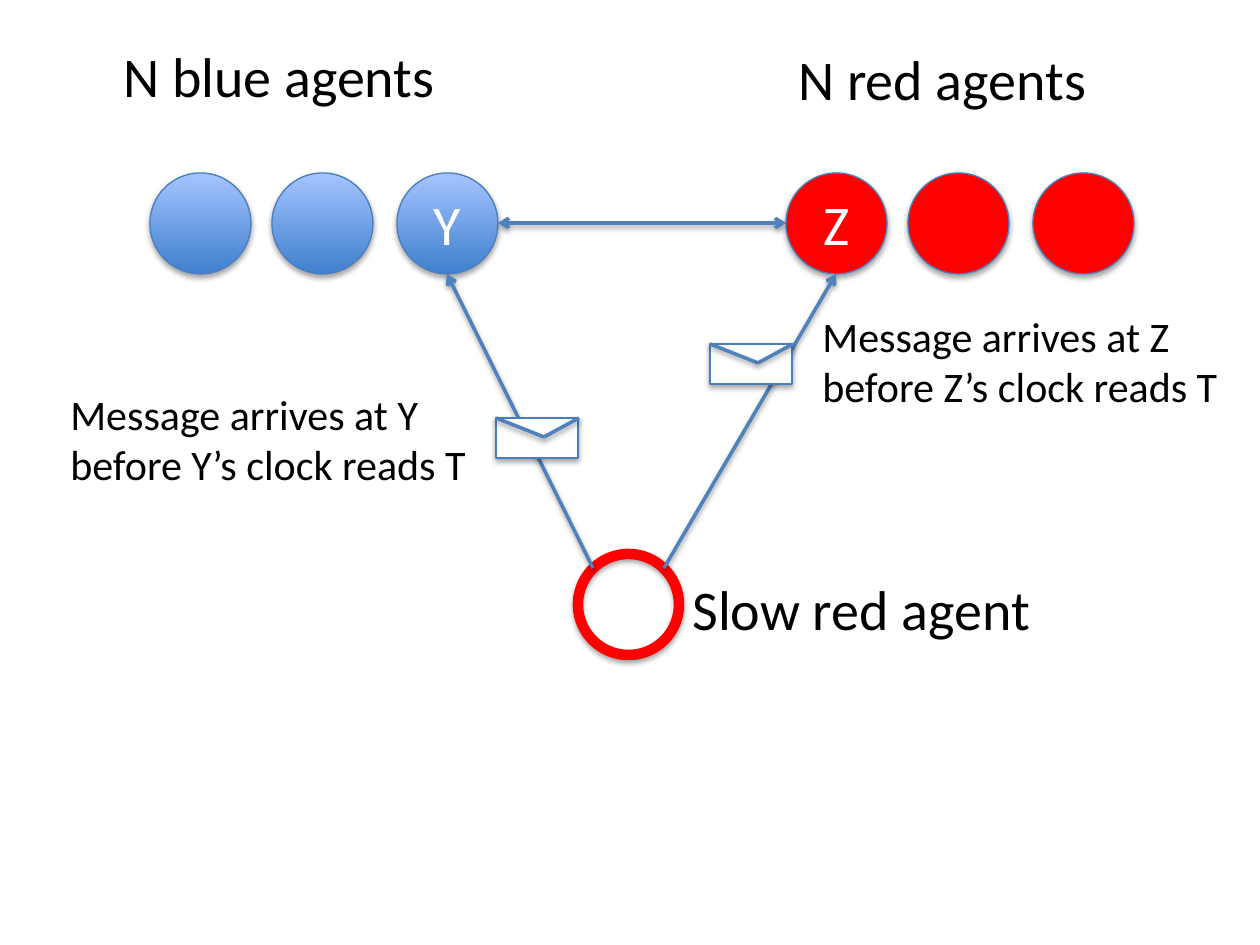
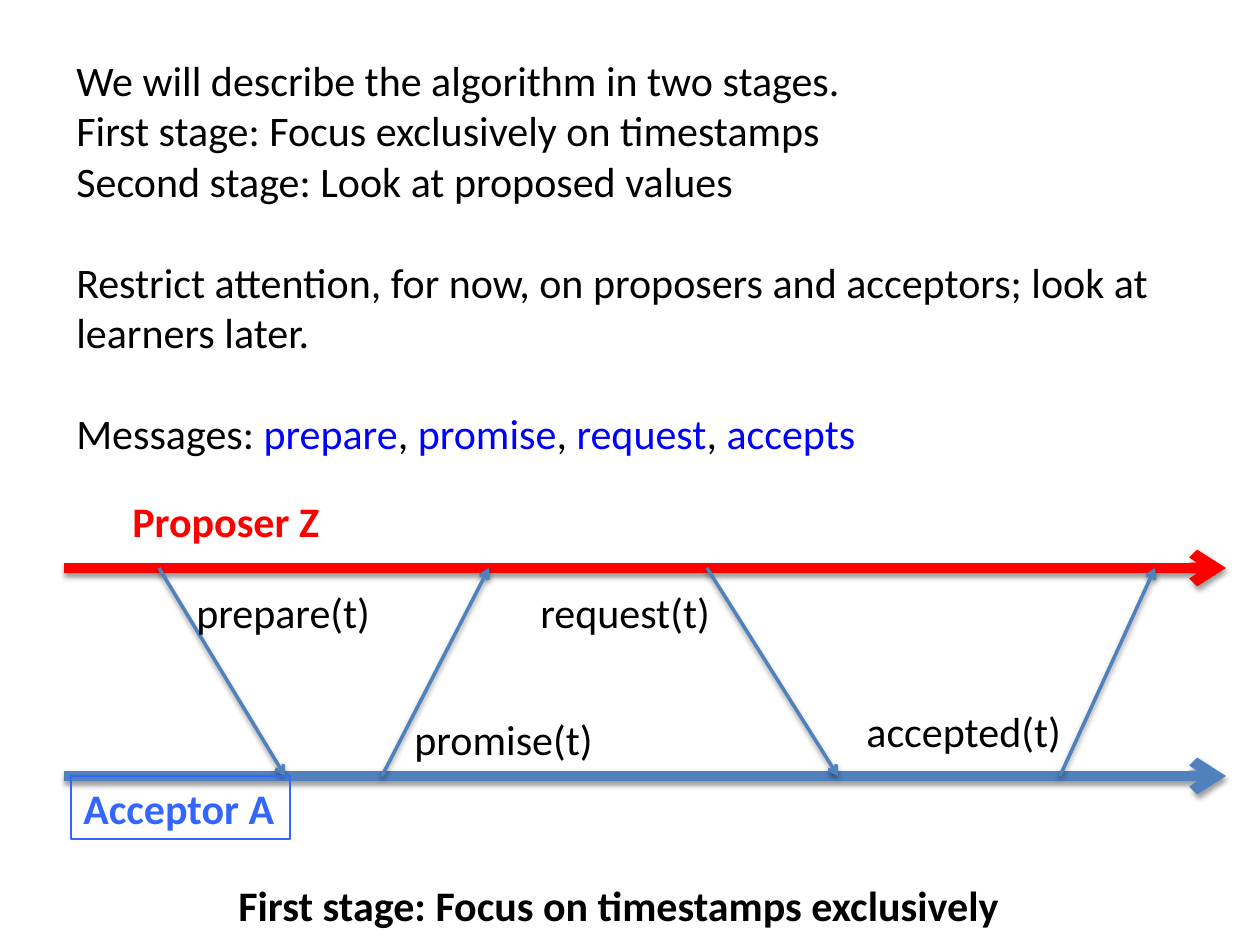
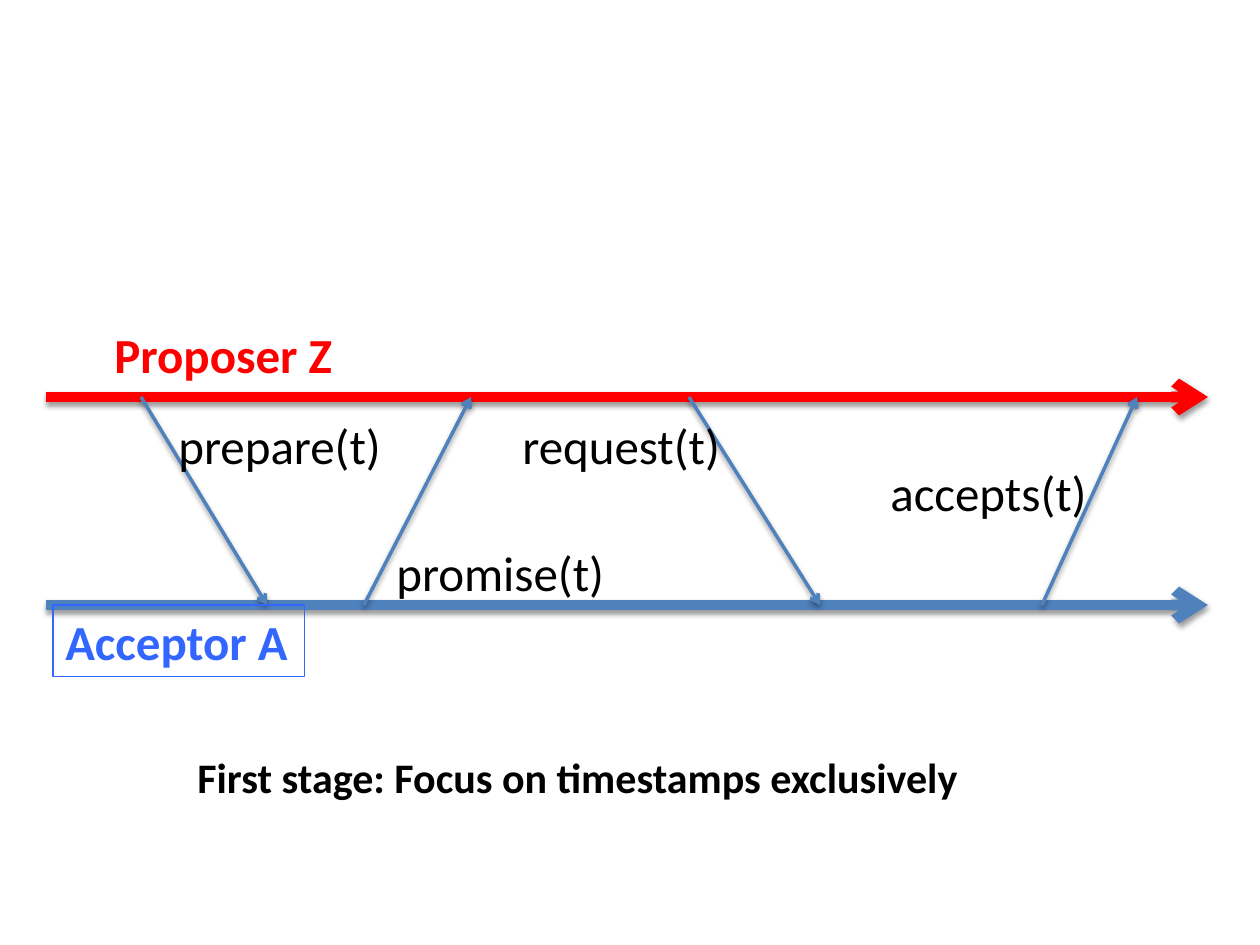
import pptx
import pptx.util
import pptx.dml.color
import pptx.enum.shapes
import pptx.enum.text
import pptx.oxml.ns
import lxml.etree

EMU_PER_PIXEL = 914400 / 126
FONT = "Calibri"
COLORS = {
    "black": "000000",
    "white": "FFFFFF",
    "red": "FF0000",
    "message": "0000FF",
    "acceptor": "3366FF",
    "edge": "4B7EBC",
    "arrow": "4F81BD",
    "agent_dark": "3F80CE",
    "agent_light": "A4C4FF",
}
AGENT_SIZE = 101
AGENT_OFFSETS = (0, 122, 247)
LANE_LENGTH = 1162
LANE_GAP = 208


def px(value):
    return pptx.util.Emu(round(value * EMU_PER_PIXEL))


def rgb(name):
    return pptx.dml.color.RGBColor.from_string(COLORS[name])


def apply(target, formats):
    for attribute, value in formats.items():
        setattr(target, attribute, value)


def add_element(parent, tag, **attributes):
    element = lxml.etree.SubElement(parent, pptx.oxml.ns.qn(tag))
    for key, value in attributes.items():
        element.set(key, str(value))
    return element


def add_shadow(properties, distance, opacity):
    effects = properties.find(pptx.oxml.ns.qn("a:effectLst"))
    if effects is None:
        effects = add_element(properties, "a:effectLst")
    shadow = add_element(effects, "a:outerShdw", blurRad=40000, dist=distance,
                         dir=5400000, rotWithShape=0)
    tint = add_element(shadow, "a:srgbClr", val=COLORS["black"])
    add_element(tint, "a:alpha", val=opacity * 1000)


def set_line(line, color, width):
    line.color.rgb = rgb(color)
    line.width = pptx.util.Pt(width)


def add_run(paragraph, text, size, color="black", bold=False):
    run = paragraph.add_run()
    run.text = text
    apply(run.font, {"name": FONT, "size": pptx.util.Pt(size), "bold": bold})
    run.font.color.rgb = rgb(color)


def add_text(slide, left, top, width, paragraphs, size=24, color="black",
             bold=False, wrap=False, height=None):
    box = slide.shapes.add_textbox(px(left), px(top), px(width),
                                   px(height or 12.6 + 2.1 * size))
    frame = box.text_frame
    apply(frame, {"word_wrap": wrap,
                  "auto_size": pptx.enum.text.MSO_AUTO_SIZE.SHAPE_TO_FIT_TEXT})
    for index, (runs, gap) in enumerate(paragraphs):
        paragraph = frame.add_paragraph() if index else frame.paragraphs[0]
        if gap:
            paragraph.space_before = pptx.util.Pt(gap)
        for text, run_color in runs:
            add_run(paragraph, text, size, run_color or color, bold)
    return box


def add_label(slide, left, top, width, text, **formats):
    return add_text(slide, left, top, width, [([(text, None)], 0)], **formats)


def add_arrow(shapes, start, end, color="arrow", width=2, ends=("tailEnd",)):
    arrow = shapes.add_connector(pptx.enum.shapes.MSO_CONNECTOR.STRAIGHT,
                                 px(start[0]), px(start[1]), px(end[0]), px(end[1]))
    set_line(arrow.line, color, width)
    properties = arrow.element.spPr
    outline = properties.find(pptx.oxml.ns.qn("a:ln"))
    for end_name in ends:
        add_element(outline, "a:" + end_name, type="arrow")
    add_shadow(properties, 20000, 38)


def add_figure(shapes, kind, left, top, width, height, fill, edge="edge", edge_width=0.75):
    figure = shapes.add_shape(kind, px(left), px(top), px(width), px(height))
    figure.shadow.inherit = False
    if fill is None:
        figure.fill.background()
    elif isinstance(fill, tuple):
        figure.fill.gradient()
        figure.fill.gradient_angle = 90
        for stop, color in zip(figure.fill.gradient_stops, fill):
            stop.color.rgb = rgb(color)
    else:
        figure.fill.solid()
        figure.fill.fore_color.rgb = rgb(fill)
    set_line(figure.line, edge, edge_width)
    add_shadow(figure.element.spPr, 23000, 35)
    return figure


def add_agent(shapes, left, top, fill, name="", **edge):
    agent = add_figure(shapes, pptx.enum.shapes.MSO_SHAPE.OVAL, left, top,
                       AGENT_SIZE, AGENT_SIZE, fill, **edge)
    if name:
        agent.text_frame.vertical_anchor = pptx.enum.text.MSO_ANCHOR.MIDDLE
        paragraph = agent.text_frame.paragraphs[0]
        paragraph.alignment = pptx.enum.text.PP_ALIGN.CENTER
        add_run(paragraph, name, 32, "white")


def add_team(slide, left, names, fill):
    team = slide.shapes.add_group_shape()
    for offset, name in zip(AGENT_OFFSETS, names):
        add_agent(team.shapes, left + offset, 173, fill, name)


def add_envelope(slide, left, top):
    envelope = slide.shapes.add_group_shape()
    add_figure(envelope.shapes, pptx.enum.shapes.MSO_SHAPE.RECTANGLE,
               left, top, 82, 40, "white")
    flap = [(left, top), (left + 48, top + 19), (left + 83, top)]
    for start, end in zip(flap, flap[1:]):
        add_arrow(envelope.shapes, start, end, ends=())


def add_exchange(slide, left, top, size, reply):
    def label(x, y, text_width, text, **formats):
        return add_label(slide, left + x, top + y, 25 + text_width * size / 24,
                         text, size=size, **formats)

    def lane(y, color):
        add_arrow(slide.shapes, (left, top + y), (left + LANE_LENGTH, top + y), color, 6)

    lane(0, "red")
    label(56, -79, 189, "Proposer Z", color="red", bold=True)
    lane(LANE_GAP, "arrow")
    messages = (
        (95, 221, True, (120, 12, 176, "prepare(t)")),
        (318, 425, False, (338, 139, 182, "promise(t)")),
        (643, 774, True, (464, 12, 173, "request(t)")),
        (996, 1091, False, reply),
    )
    for sent, received, downward, caption in messages:
        start, end = (0, LANE_GAP) if downward else (LANE_GAP, 0)
        add_arrow(slide.shapes, (left + sent, top + start), (left + received, top + end))
        label(*caption)
    acceptor = label(7, LANE_GAP, 194, "Acceptor A", color="acceptor", bold=True)
    set_line(acceptor.line, "acceptor", 0.75)


def add_stage_caption(slide, left, top):
    add_label(slide, left, top, 799, "First stage: Focus on timestamps exclusively", bold=True)


def build_agents(slide):
    add_team(slide, 150, ("", "", "Y"), ("agent_dark", "agent_light"))
    add_team(slide, 786, ("Z", "", ""), "red")
    add_agent(slide.shapes, 578, 554, None, edge="red", edge_width=6)
    add_label(slide, 680, 568, 368, "Slow red agent", size=32)
    add_arrow(slide.shapes, (664, 568), (836, 274))
    add_arrow(slide.shapes, (786, 223), (498, 223), ends=("headEnd", "tailEnd"))
    add_label(slide, 111, 35, 340, "N blue agents", size=32)
    add_label(slide, 786, 38, 318, "N red agents", size=32)
    add_arrow(slide.shapes, (593, 568), (447, 274))
    notices = (("Z", (710, 344), (810, 304)), ("Y", (496, 418), (58, 382)))
    for agent, envelope, notice in notices:
        add_envelope(slide, *envelope)
        add_label(slide, *notice, 430,
                  f"Message arrives at {agent} before {agent}’s clock reads T",
                  wrap=True, height=115)


def build_stages(slide):
    messages = [("Messages: ", None)]
    for index, name in enumerate(("prepare", "promise", "request", "accepts")):
        if index:
            messages.append((", ", None))
        messages.append((name, "message"))
    plan = [
        ([("We will describe the algorithm in two stages.", None)], 0),
        ([("First stage: Focus exclusively on timestamps", None)], 0),
        ([("Second stage: Look at proposed values", None)], 0),
        ([("Restrict attention, for now, on proposers and acceptors; "
           "look at learners later.", None)], 29),
        (messages, 29),
    ]
    add_text(slide, 64, 48, 1099, plan, wrap=True, height=420)
    add_exchange(slide, 64, 568, 24, (790, 131, 198, "accepted(t)"))
    add_stage_caption(slide, 226, 873)


def build_first_stage(slide):
    add_exchange(slide, 46, 397, 28, (832, 59, 171, "accepts(t)"))
    add_stage_caption(slide, 185, 745)


def main():
    deck = pptx.Presentation()
    apply(deck, {"slide_width": px(1260), "slide_height": px(945)})
    for build in (build_agents, build_stages, build_first_stage):
        build(deck.slides.add_slide(deck.slide_layouts[6]))
    deck.save("out.pptx")


main()
